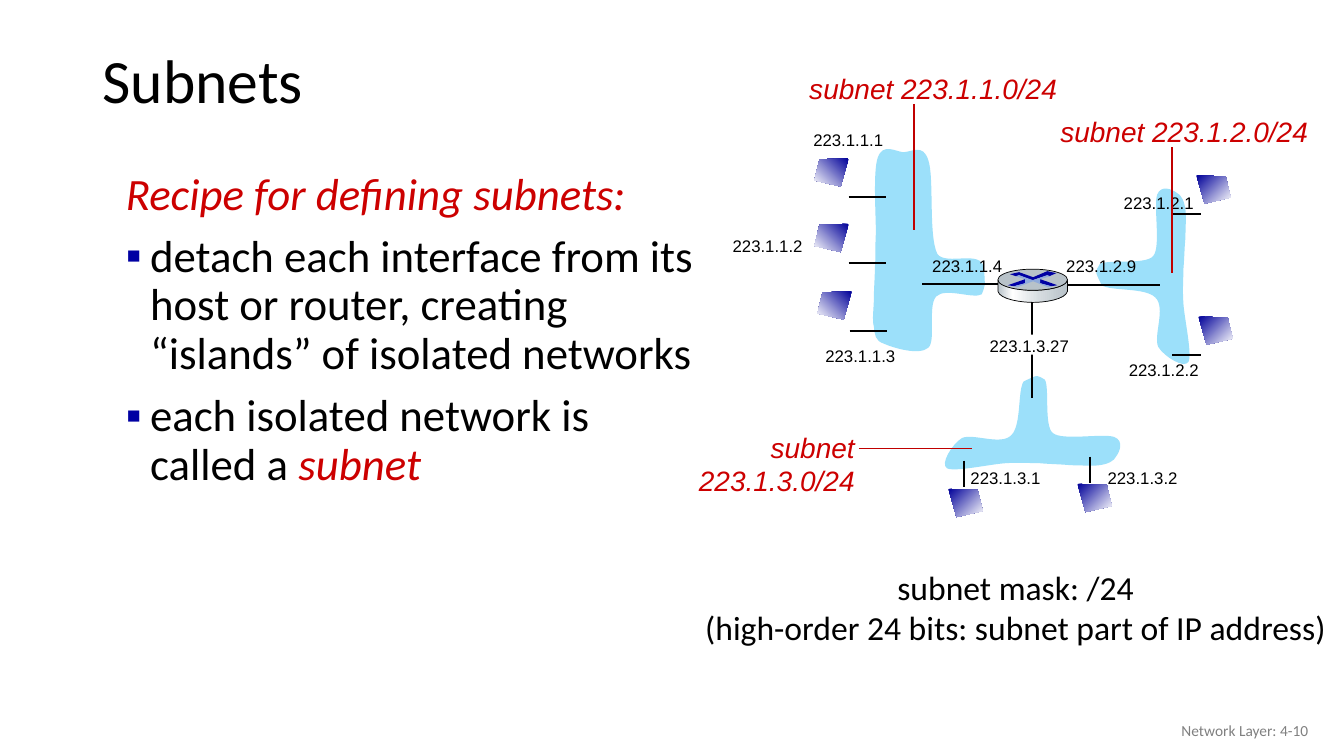
"""Build the slide on subnets: a recipe beside a three-subnet network diagram."""
from dataclasses import dataclass

from lxml import etree
from pptx import Presentation
from pptx.dml.color import RGBColor
from pptx.enum.shapes import MSO_CONNECTOR, MSO_SHAPE
from pptx.enum.text import MSO_ANCHOR, MSO_AUTO_SIZE, PP_ALIGN
from pptx.oxml.ns import qn
from pptx.util import Emu, Inches, Pt

STRAIGHT = MSO_CONNECTOR.STRAIGHT
RECTANGLE, OVAL = MSO_SHAPE.RECTANGLE, MSO_SHAPE.OVAL
LEFT, CENTER, RIGHT = PP_ALIGN.LEFT, PP_ALIGN.CENTER, PP_ALIGN.RIGHT
TOP, MIDDLE = MSO_ANCHOR.TOP, MSO_ANCHOR.MIDDLE
FIT, FIXED = MSO_AUTO_SIZE.SHAPE_TO_FIT_TEXT, MSO_AUTO_SIZE.NONE

COLUMNS, ROWS = 40 / 3, 7.5
CELL = Inches(1)
BLACK, WHITE, RED, WIRE_RED = "000000", "FFFFFF", "CC0000", "C00000"
CLOUD, NAVY, STEEL, GREY, CROSS = "9CE0FA", "0000A3", "B8C2C9", "808080", "8FAADC"
HOST_STOPS = [(0, "000099"), (100, WHITE)]
ROUTER_STOPS = [(0, STEEL), (21, WHITE), (60, "D6DCE0"), (100, STEEL)]

FONTS = {
    "title": {"name": "Calibri", "size": Pt(44)},
    "recipe": {"name": "Calibri", "size": Pt(32), "italic": False},
    "emphasis": {"name": "Calibri", "size": Pt(32), "italic": True},
    "mask": {"name": "Calibri", "size": Pt(24)},
    "subnet": {"name": "Arial", "size": Pt(20), "italic": True},
    "address": {"name": "Arial", "size": Pt(12)},
    "footer": {"name": "Calibri", "size": Pt(11)},
}

Point = tuple[float, float]


@dataclass(frozen=True)
class Caption:
    lines: tuple[str, ...]
    area: tuple[float, float, float, float]
    font: str
    color: str = BLACK
    align: PP_ALIGN = LEFT
    anchor: MSO_ANCHOR = TOP
    wrap: bool = False
    spacing: float = 1.0


@dataclass(frozen=True)
class Wire:
    start: Point
    end: Point
    color: str = BLACK
    weight: float = 1.5


@dataclass(frozen=True)
class Host:
    left: float
    top: float
    mirrored: bool


CAPTIONS = [
    Caption(("Subnets",), (0.92, 0.34, 11.5, 0.98), "title", anchor=MIDDLE, wrap=True, spacing=0.9),
    Caption(("subnet mask: /24", "(high-order 24 bits: subnet part of IP address)"),
            (6.87, 5.57, 6.41, 0.91), "mask", align=CENTER),
    Caption(("subnet", "223.1.3.0/24"), (6.82, 4.22, 1.76, 0.77), "subnet", RED, RIGHT),
    Caption(("subnet 223.1.1.0/24",), (7.93, 0.66, 2.72, 0.44), "subnet", RED),
    Caption(("subnet 223.1.2.0/24",), (10.42, 1.09, 2.72, 0.44), "subnet", RED),
    Caption(("Network Layer: 4-10",), (10.08, 7.05, 3, 0.4), "footer", GREY, RIGHT, MIDDLE, True),
]
ADDRESSES = {
    "223.1.1.1": (7.97, 1.24), "223.1.1.2": (7.17, 2.29), "223.1.1.3": (8.09, 3.38),
    "223.1.1.4": (9.15, 2.49), "223.1.2.9": (10.48, 2.49), "223.1.2.2": (11.1, 3.52),
    "223.1.2.1": (11.05, 1.86), "223.1.3.2": (10.89, 4.59), "223.1.3.1": (9.53, 4.59),
    "223.1.3.27": (9.72, 3.28),
}
ADDRESS_MASKS = [(7.27, 2.37, 0.91, 0.2), (9.78, 3.32, 0.93, 0.2)]
LINKS = [
    Wire((10.24, 2.99), (10.24, 3.95)), Wire((9.15, 2.82), (10.02, 2.82)),
    Wire((10.44, 2.83), (11.51, 2.83)), Wire((8.42, 1.95), (8.79, 1.95)),
    Wire((8.42, 2.61), (8.79, 2.61)), Wire((8.43, 3.28), (8.8, 3.28)),
    Wire((11.62, 2.12), (11.91, 2.12)), Wire((11.63, 3.52), (11.91, 3.52)),
    Wire((9.56, 4.57), (9.56, 4.83)), Wire((10.81, 4.53), (10.81, 4.79)),
]
POINTERS = [
    Wire((8.52, 4.45), (9.64, 4.45), WIRE_RED, 1.25),
    Wire((9.07, 1.03), (9.07, 2.28), WIRE_RED),
    Wire((11.63, 1.46), (11.63, 2.71), WIRE_RED),
]
HOSTS = [
    Host(8.08, 1.57, True), Host(8.08, 2.22, True), Host(8.11, 2.89, True),
    Host(11.87, 1.74, False), Host(11.89, 3.14, False), Host(10.69, 4.8, False), Host(9.41, 4.85, False),
]
HOST_WIDTH = 0.34
HOST_OUTLINE = [(0, 0), (0.29, 0.01), (0.34, 0.22), (0.08, 0.28)]

LEFT_CLOUD = [
    (9.76, 2.66), (9.74, 2.47), (9.39, 2.64), (9.3, 2.52), (9.21, 2.34), (9.27, 1.76), (9.21, 1.59),
    (9.16, 1.42), (9.04, 1.51), (8.96, 1.51), (8.88, 1.5), (8.76, 1.42), (8.71, 1.56),
    (8.66, 1.69), (8.69, 2.13), (8.69, 2.31), (8.68, 2.49), (8.69, 2.54), (8.68, 2.65),
    (8.68, 2.76), (8.67, 2.86), (8.67, 2.96), (8.67, 3.06), (8.65, 3.17), (8.67, 3.24),
    (8.68, 3.32), (8.68, 3.38), (8.77, 3.41), (8.86, 3.45), (9.12, 3.53), (9.21, 3.45),
    (9.29, 3.38), (9.2, 3.03), (9.29, 2.94), (9.38, 2.85), (9.66, 2.97), (9.74, 2.92),
    (9.77, 2.84), (9.78, 2.85), (9.76, 2.66),
]
SMALL_CLOUD = [
    (0.41, -0.09), (0.32, -0.15), (-0.02, -0.11), (-0.12, -0.21), (-0.23, -0.31), (-0.1, -0.59), (-0.15, -0.7),
    (-0.21, -0.8), (-0.41, -0.92), (-0.45, -0.85), (-0.49, -0.78), (-0.41, -0.42), (-0.4, -0.27),
    (-0.39, -0.12), (-0.4, -0.04), (-0.4, 0.07), (-0.41, 0.18), (-0.41, 0.28), (-0.42, 0.38),
    (-0.42, 0.48), (-0.43, 0.59), (-0.42, 0.66), (-0.41, 0.74), (-0.38, 0.81), (-0.33, 0.83),
    (-0.29, 0.86), (-0.18, 0.91), (-0.14, 0.81), (-0.1, 0.7), (-0.18, 0.29), (-0.1, 0.2),
    (-0.03, 0.11), (0.36, 0.17), (0.43, 0.12), (0.47, 0.04), (0.49, 0.07), (0.41, -0.09),
]
SMALL_CLOUD_PLACES = [((10.24, 4.2), 270), ((11.34, 2.75), 180)]
ROUTER_SIDE = [
    (10.59, 2.89), (10.57, 2.97), (10.37, 3), (10.25, 3), (10.13, 3), (9.92, 2.97), (9.9, 2.89),
    (9.9, 2.87), (9.9, 2.81), (9.9, 2.78), (9.93, 2.85), (10.13, 2.88), (10.25, 2.88),
    (10.36, 2.88), (10.56, 2.86), (10.59, 2.78),
]
ROUTER_MARKS = [
    (NAVY, [(10.39, 2.69), (10.48, 2.71), (10.41, 2.74), (10.39, 2.73), (10.24, 2.78),
            (10.11, 2.73), (10.08, 2.74), (10.02, 2.72), (10.11, 2.7), (10.25, 2.75)]),
    (NAVY, [(10.32, 2.77), (10.49, 2.83), (10.43, 2.84), (10.32, 2.81)]),
    ("0000A8", [(10.17, 2.77), (10.17, 2.81), (10.06, 2.84), (10, 2.83)]),
    (CROSS, [(10.08, 2.74), (10.11, 2.73), (10.25, 2.78), (10.39, 2.73), (10.42, 2.74), (10.32, 2.77),
             (10.32, 2.81), (10.43, 2.84), (10.4, 2.85), (10.25, 2.79), (10.09, 2.85), (10.06, 2.84),
             (10.17, 2.81), (10.17, 2.77)]),
]
RECIPE = [
    (False, [("Recipe for defining subnets:", "emphasis", RED)]),
    (True, [("detach each interface from its host or router, creating “islands” of isolated networks",
             "recipe", BLACK)]),
    (True, [("each isolated network is called a ", "recipe", BLACK), ("subnet", "emphasis", RED)]),
]


def cells(*counts: float) -> list[Emu]:
    return [Emu(round(count * CELL)) for count in counts]


def rgb(color: str) -> RGBColor:
    return RGBColor.from_string(color)


def paint(shape, color: str | None, outlined: bool = False) -> None:
    shape.shadow.inherit = False
    if color:
        shape.fill.solid()
        shape.fill.fore_color.rgb = rgb(color)
    if outlined:
        shape.line.color.rgb = rgb(BLACK)
        shape.line.width = Pt(0.5)
    else:
        shape.line.fill.background()


def shade(shape, stops: list[tuple[int, str]], angle: int) -> None:
    shape.fill.gradient()
    shape.fill.gradient_angle = angle
    stop_list = next(shape._element.spPr.iter(qn("a:gsLst")))
    stop_list.clear()
    for position, color in stops:
        stop = etree.SubElement(stop_list, qn("a:gs"), pos=str(position * 1000))
        etree.SubElement(stop, qn("a:srgbClr"), val=color)


def draw_outline(slide, points: list[Point], color: str | None = None, outlined: bool = False):
    start, *rest = [cells(*point) for point in points]
    builder = slide.shapes.build_freeform(*start, scale=1.0)
    builder.add_line_segments(rest, close=True)
    shape = builder.convert_to_shape()
    paint(shape, color, outlined)
    return shape


def draw_curves(slide, knots: list[Point], color: str | None = None, outlined: bool = False):
    shape = draw_outline(slide, knots, color, outlined)
    segments = list(shape._element.spPr.iter(qn("a:lnTo")))
    for first in range(0, len(segments), 3):
        curve = etree.Element(qn("a:cubicBezTo"))
        segments[first].addprevious(curve)
        for segment in segments[first:first + 3]:
            curve.append(segment[0])
            segment.getparent().remove(segment)
    return shape


def draw_preset(slide, kind: MSO_SHAPE, area: tuple, color: str, outlined: bool = False) -> None:
    paint(slide.shapes.add_shape(kind, *cells(*area)), color, outlined)


def draw_wire(slide, wire: Wire) -> None:
    connector = slide.shapes.add_connector(STRAIGHT, *cells(*wire.start, *wire.end))
    connector.line.color.rgb = rgb(wire.color)
    connector.line.width = Pt(wire.weight)
    etree.SubElement(connector._element.spPr, qn("a:effectLst"))


def write(paragraph, text: str, font: str, color: str) -> None:
    run = paragraph.add_run()
    run.text = text
    for attribute, value in FONTS[font].items():
        setattr(run.font, attribute, value)
    run.font.color.rgb = rgb(color)


def draw_caption(slide, caption: Caption) -> None:
    frame = slide.shapes.add_textbox(*cells(*caption.area)).text_frame
    layout = {"word_wrap": caption.wrap, "auto_size": FIXED if caption.wrap else FIT,
              "vertical_anchor": caption.anchor}
    for attribute, value in layout.items():
        setattr(frame, attribute, value)
    for index, line in enumerate(caption.lines):
        paragraph = frame.add_paragraph() if index else frame.paragraphs[0]
        paragraph.alignment, paragraph.line_spacing = caption.align, caption.spacing
        write(paragraph, line, caption.font, caption.color)


def draw_recipe(slide) -> None:
    frame = slide.shapes.add_textbox(*cells(1, 1.65, 6.02, 5.45)).text_frame
    frame.word_wrap = True
    for index, (bulleted, pieces) in enumerate(RECIPE):
        paragraph = frame.add_paragraph() if index else frame.paragraphs[0]
        properties = paragraph._p.get_or_add_pPr()
        for attribute, length in zip(("marL", "indent"), cells(0.39, -0.24)):
            properties.set(attribute, str(length))
        if bulleted:
            bullet_color = etree.SubElement(properties, qn("a:buClr"))
            etree.SubElement(bullet_color, qn("a:srgbClr"), val=NAVY)
            etree.SubElement(properties, qn("a:buFont"), typeface="Arial")
            etree.SubElement(properties, qn("a:buChar"), char="▪")
        paragraph.line_spacing = 0.9
        paragraph.space_before = Pt(10 if index else 0)
        for piece in pieces:
            write(paragraph, *piece)


def draw_clouds(slide) -> None:
    for (x, y), turn in SMALL_CLOUD_PLACES:
        draw_curves(slide, [(x + dx, y + dy) for dx, dy in SMALL_CLOUD], CLOUD).rotation = turn
    draw_curves(slide, LEFT_CLOUD, CLOUD)


def draw_host(slide, host: Host) -> None:
    outline = [(host.left + (HOST_WIDTH - x if host.mirrored else x), host.top + y) for x, y in HOST_OUTLINE]
    shade(draw_outline(slide, outline), HOST_STOPS, 225 if host.mirrored else 315)


def draw_router(slide) -> None:
    shade(draw_curves(slide, ROUTER_SIDE, outlined=True), ROUTER_STOPS, 0)
    draw_preset(slide, OVAL, (9.9, 2.67, 0.69, 0.21), STEEL, True)
    for color, outline in ROUTER_MARKS:
        draw_outline(slide, outline, color)


def main() -> None:
    deck = Presentation()
    deck.slide_width, deck.slide_height = cells(COLUMNS, ROWS)
    slide = deck.slides.add_slide(deck.slide_layouts[6])
    draw_clouds(slide)
    for link in LINKS:
        draw_wire(slide, link)
    for area in ADDRESS_MASKS:
        draw_preset(slide, RECTANGLE, area, WHITE)
    for address, corner in ADDRESSES.items():
        draw_caption(slide, Caption((address,), (*corner, len(address) / 10, 0.3), "address"))
    draw_recipe(slide)
    for host in HOSTS:
        draw_host(slide, host)
    draw_router(slide)
    for caption in CAPTIONS:
        draw_caption(slide, caption)
    for pointer in POINTERS:
        draw_wire(slide, pointer)
    deck.save("out.pptx")


if __name__ == "__main__":
    main()
